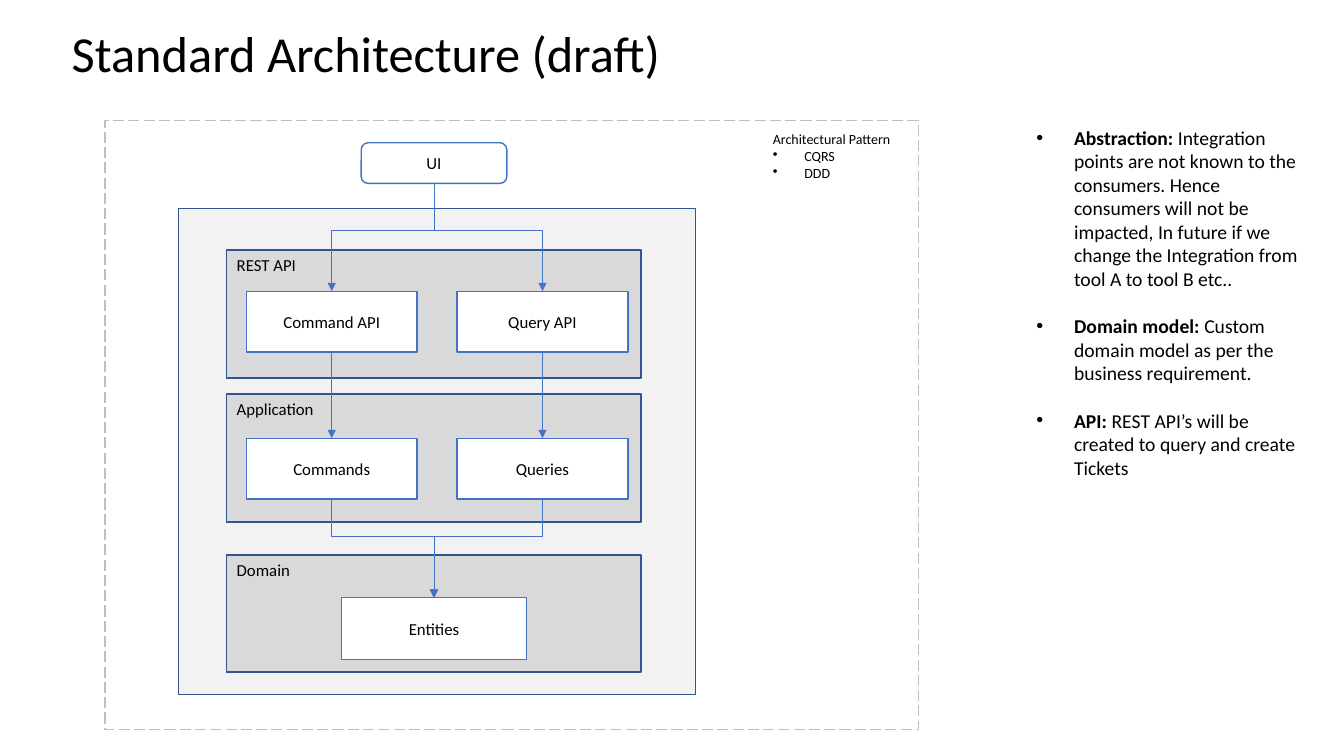
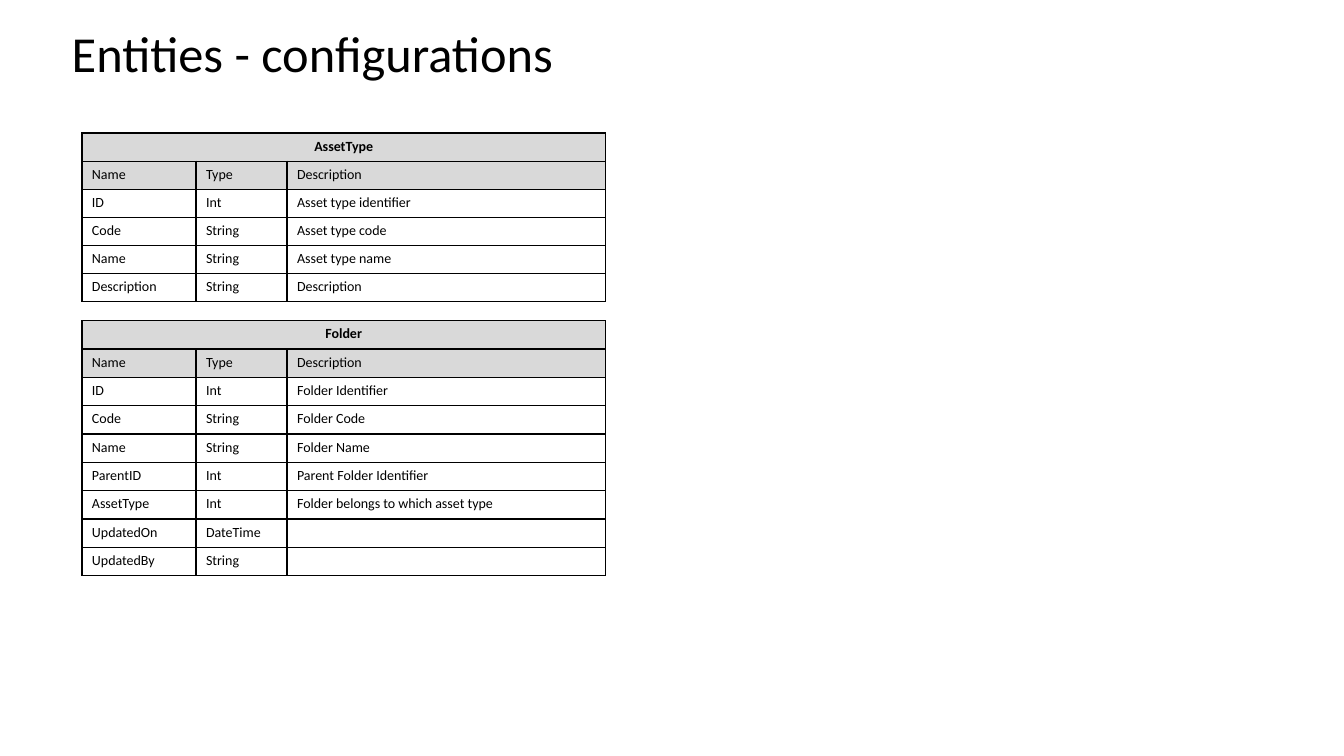
"""Build the architecture slide and the entity tables slide."""
from lxml.etree import SubElement
from pptx import Presentation
from pptx.dml.color import RGBColor
from pptx.enum.dml import MSO_LINE
from pptx.enum.shapes import MSO_CONNECTOR as Route, MSO_SHAPE as Preset
from pptx.enum.text import MSO_ANCHOR as Anchor, MSO_AUTO_SIZE as AutoSize, PP_ALIGN as Align
from pptx.oxml.ns import qn
from pptx.util import Pt


def color(value):
    return RGBColor.from_string(value)


class Deck:
    FONT = "Calibri"
    BLACK, WHITE = "000000", "FFFFFF"
    BLUE, NAVY = "4472C4", "325491"
    PALE, GRAY, SILVER = "F2F2F2", "D9D9D9", "BFBFBF"

    def __init__(self):
        self.file = Presentation()
        self.file.slide_width, self.file.slide_height = Pt(960), Pt(540)
        self.slide = None

    def place(self, shape, left, top, width, height):
        shape.left, shape.top = Pt(left), Pt(top)
        shape.width, shape.height = Pt(width), Pt(height)

    def style(self, paragraph, size, align=Align.LEFT, bold=False):
        paragraph.alignment = align
        font = paragraph.font
        font.name, font.size, font.bold = self.FONT, Pt(size), bold
        font.color.rgb = color(self.BLACK)

    def bullet(self, paragraph, indent):
        props = paragraph._p.get_or_add_pPr()
        props.set("marL", str(Pt(indent)))
        props.set("indent", str(-Pt(indent)))
        mark = props.makeelement(qn("a:buChar"), {"char": "•"})
        props.insert_element_before(mark, "a:tabLst", "a:defRPr", "a:extLst")

    def new_slide(self, title, layout):
        self.slide = self.file.slides.add_slide(self.file.slide_layouts[layout])
        heading = self.slide.shapes.title
        self.place(heading, 44, -1, 872, 82)
        frame = heading.text_frame
        frame.text = title
        frame.auto_size, frame.vertical_anchor = AutoSize.NONE, Anchor.MIDDLE
        self.style(frame.paragraphs[0], 36)
        frame.paragraphs[0].line_spacing = 0.9

    def box(self, bounds, text="", fill=WHITE, line=BLUE, preset=Preset.RECTANGLE,
            align=Align.CENTER, anchor=Anchor.MIDDLE, dash=None):
        shape = self.slide.shapes.add_shape(preset, *map(Pt, bounds))
        shape.shadow.inherit = False
        shape.fill.solid()
        shape.fill.fore_color.rgb = color(fill)
        shape.line.color.rgb = color(line)
        shape.line.width = Pt(1)
        if dash:
            shape.line.dash_style = dash
        if text:
            shape.text_frame.text = text
            shape.text_frame.vertical_anchor = anchor
            self.style(shape.text_frame.paragraphs[0], 12, align)
        return shape

    def layer(self, bounds, text):
        return self.box(bounds, text, self.GRAY, self.NAVY, align=Align.LEFT, anchor=Anchor.TOP)

    def finish_arrow(self, arrow):
        arrow.line.color.rgb = color(self.BLUE)
        arrow.line.width = Pt(0.5)
        SubElement(arrow.line._get_or_add_ln(), qn("a:tailEnd"), type="triangle")
        SubElement(arrow._element.spPr, qn("a:effectLst"))

    def arrow(self, source, target):
        arrow = self.slide.shapes.add_connector(Route.STRAIGHT, 0, 0, 0, 0)
        arrow.begin_connect(source, 2)
        arrow.end_connect(target, 0)
        self.finish_arrow(arrow)

    def elbow(self, source, target, bend):
        """Draw a bent arrow that leaves the source downwards and turns at height bend."""
        x1, y1 = source.left + source.width // 2, source.top + source.height
        x2, y2 = target.left + target.width // 2, target.top
        rise, run = y2 - y1, abs(x2 - x1)
        left, top = (x1 + x2 - rise) // 2, (y1 + y2 - run) // 2
        ends = (left, left + rise) if x2 < x1 else (left + rise, left)
        arrow = self.slide.shapes.add_connector(Route.ELBOW, ends[0], top, ends[1], top + run)
        props = arrow._element.spPr
        turn = 90 if x2 < x1 else 270
        props.find(qn("a:xfrm")).set("rot", str(turn * 60000))
        guides = props.find(qn("a:prstGeom")).find(qn("a:avLst"))
        share = round((Pt(bend) - y1) / rise * 100000)
        SubElement(guides, qn("a:gd"), name="adj1", fmla=f"val {share}")
        self.finish_arrow(arrow)

    def points(self, bounds, entries):
        body = self.slide.placeholders[1]
        self.place(body, *bounds)
        frame = body.text_frame
        frame.auto_size = AutoSize.NONE
        for index, (term, meaning) in enumerate(entries):
            paragraph = frame.add_paragraph() if index else frame.paragraphs[0]
            self.style(paragraph, 14)
            self.bullet(paragraph, 27)
            paragraph.space_before = Pt(17 if index else 0)
            lead = paragraph.add_run()
            lead.text, lead.font.bold = term + ": ", True
            paragraph.add_run().text = meaning

    def legend(self, bounds, heading, entries):
        frame = self.slide.shapes.add_textbox(*map(Pt, bounds)).text_frame
        frame.word_wrap = True
        frame.text = "\n".join([heading, *entries])
        for index, paragraph in enumerate(frame.paragraphs):
            self.style(paragraph, 10)
            if index:
                self.bullet(paragraph, 22.5)

    def borders(self, cell):
        props = cell._tc.get_or_add_tcPr()
        for side in ("lnL", "lnR", "lnT", "lnB"):
            edge = SubElement(props, qn("a:" + side), w=str(Pt(1)))
            paint = SubElement(edge, qn("a:solidFill"))
            SubElement(paint, qn("a:srgbClr"), val=self.BLACK)

    def entity(self, name, top, row_height, fields):
        rows = [(name, "", ""), ("Name", "Type", "Description"), *fields]
        widths = (81.5, 65, 227.5)
        table = self.slide.shapes.add_table(
            len(rows), len(widths), Pt(58.5), Pt(top), Pt(sum(widths)),
            Pt(row_height * len(rows))).table
        table.first_row = table.horz_banding = False
        for column, width in zip(table.columns, widths):
            column.width = Pt(width)
        for r, row in enumerate(rows):
            table.rows[r].height = Pt(row_height)
            for c, text in enumerate(row):
                cell = table.cell(r, c)
                self.borders(cell)
                if r < 2:
                    cell.fill.solid()
                    cell.fill.fore_color.rgb = color(self.GRAY)
                else:
                    cell.fill.background()
                cell.text = text
                paragraph = cell.text_frame.paragraphs[0]
                self.style(paragraph, 10, Align.LEFT if r else Align.CENTER, r == 0)
                if not text:
                    SubElement(paragraph._p, qn("a:endParaRPr"), sz="1000")
        table.cell(0, 0).merge(table.cell(0, len(widths) - 1))


deck = Deck()

deck.new_slide("Standard Architecture (draft)", 1)
deck.box((75, 86, 581, 435), line=deck.SILVER, dash=MSO_LINE.LONG_DASH)
deck.box((127.5, 149, 369.5, 347), fill=deck.PALE, line=deck.NAVY)
for label, top, height in (("REST API", 178.5, 91.5), ("Application", 281.5, 91.5),
                           ("Domain", 396.5, 83.5)):
    deck.layer((162, top, 296, height), label)
ui = deck.box((258, 102, 104, 29), "UI", preset=Preset.ROUNDED_RECTANGLE)
entities = deck.box((244, 427, 132, 44), "Entities")
for left, api, handler in ((176, "Command API", "Commands"), (326.5, "Query API", "Queries")):
    api_box = deck.box((left, 208, 122, 43.5), api)
    handler_box = deck.box((left, 313, 122, 43.5), handler)
    deck.elbow(ui, api_box, 164.5)
    deck.arrow(api_box, handler_box)
    deck.elbow(handler_box, entities, 383)
deck.legend((545, 90, 108, 44), "Architectural Pattern", ("CQRS", "DDD"))
deck.points((733, 86, 205, 262), (
    ("Abstraction", "Integration points are not known to the consumers. Hence consumers will "
     "not be impacted, In future if we change the Integration from tool A to tool B etc.."),
    ("Domain model", "Custom domain model as per the business requirement."),
    ("API", "REST API’s will be created to query and create Tickets"),
))

deck.new_slide("Entities - configurations", 5)
deck.entity("AssetType", 95, 20.1, (
    ("ID", "Int", "Asset type identifier"),
    ("Code", "String", "Asset type code"),
    ("Name", "String", "Asset type name"),
    ("Description", "String", "Description"),
))
deck.entity("Folder", 229, 20.25, (
    ("ID", "Int", "Folder Identifier"),
    ("Code", "String", "Folder Code"),
    ("Name", "String", "Folder Name"),
    ("ParentID", "Int", "Parent Folder Identifier"),
    ("AssetType", "Int", "Folder belongs to which asset type"),
    ("UpdatedOn", "DateTime", ""),
    ("UpdatedBy", "String", ""),
))

deck.file.save("out.pptx")
